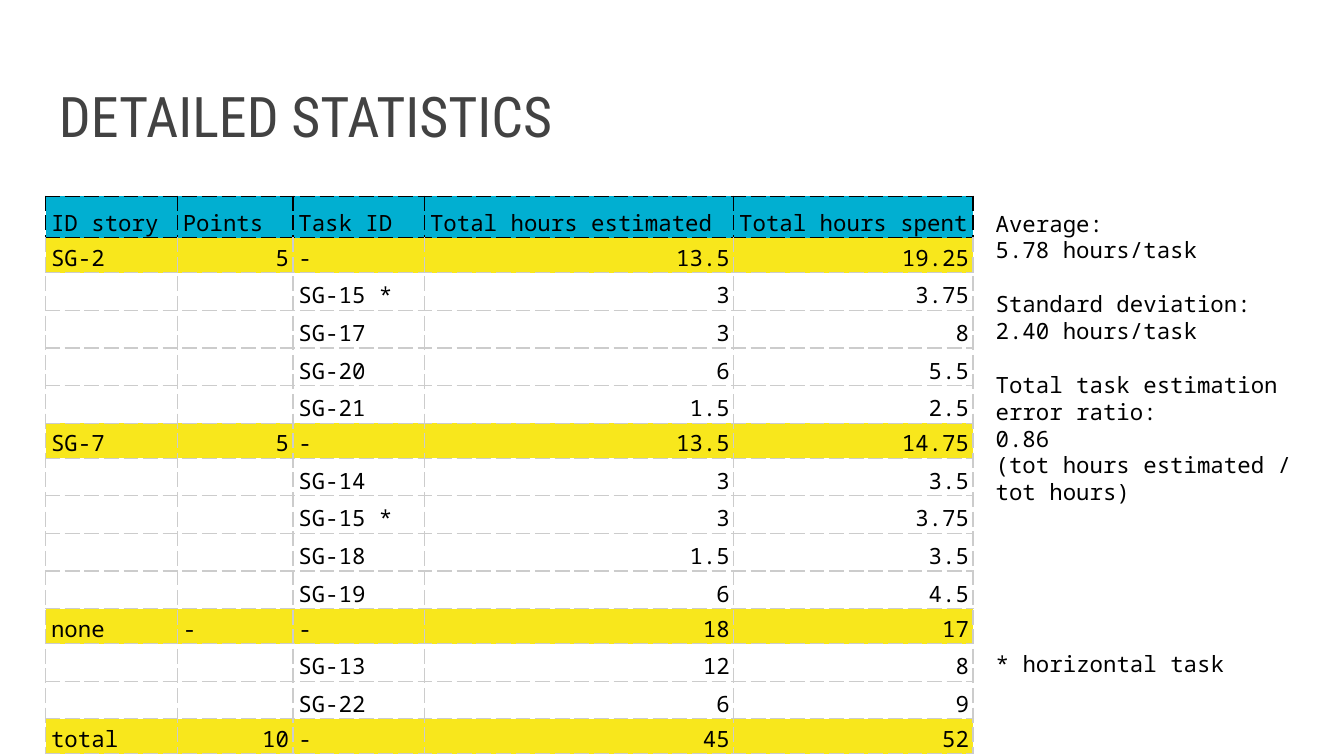
"""Build the detailed statistics slide: a table of task hours with notes beside it."""
from typing import NamedTuple

from lxml.etree import SubElement
from pptx import Presentation
from pptx.dml.color import RGBColor
from pptx.enum.text import MSO_ANCHOR as Anchor, PP_ALIGN as Align
from pptx.oxml.ns import qn
from pptx.util import Inches, Pt

BLACK = RGBColor(0x00, 0x00, 0x00)
GREY = RGBColor(0xCC, 0xCC, 0xCC)
CHARCOAL = RGBColor(0x42, 0x42, 0x42)
BLUE = RGBColor(0x01, 0xAF, 0xD1)
YELLOW = RGBColor(0xF8, 0xE7, 0x1C)
MONO = "Noto Sans Mono"
CONDENSED = "Roboto Condensed"
SLIDE_WIDTH = 10
SLIDE_HEIGHT = SLIDE_WIDTH * 9 / 16
LEFT, TOP, NOTE_LEFT = 0.34, 1.46, 7.31
COLUMNS = (0.98, 0.86, 0.98, 2.3, 1.78)
HEADER = ("ID story", "Points", "Task ID", "Total hours estimated", "Total hours spent")
HEADER_HEIGHT, STORY_HEIGHT, TASK_HEIGHT = 0.31, 0.26, 0.28
LINE = 14.4


class Task(NamedTuple):
    name: str
    estimated: str
    spent: str


class Story(NamedTuple):
    name: str
    points: str
    estimated: str
    spent: str
    tasks: tuple[Task, ...] = ()


class Note(NamedTuple):
    text: str
    before: float = 0


class Box(NamedTuple):
    left: float
    top: float
    width: float
    height: float


STORIES = (
    Story("SG-2", "5", "13.5", "19.25", (
        Task("SG-15 *", "3", "3.75"), Task("SG-17", "3", "8"),
        Task("SG-20", "6", "5.5"), Task("SG-21", "1.5", "2.5"))),
    Story("SG-7", "5", "13.5", "14.75", (
        Task("SG-14", "3", "3.5"), Task("SG-15 *", "3", "3.75"),
        Task("SG-18", "1.5", "3.5"), Task("SG-19", "6", "4.5"))),
    Story("none", "-", "18", "17", (
        Task("SG-13", "12", "8"), Task("SG-22", "6", "9"))),
    Story("total", "10", "45", "52"),
)
NOTES = (
    Note("Average:"),
    Note("5.78 hours/task"),
    Note("Standard deviation:", LINE),
    Note("2.40 hours/task"),
    Note("Total task estimation error ratio:", LINE),
    Note("0.86"),
    Note("(tot hours estimated / tot hours)"),
)


def add_text(slide, box: Box, notes: tuple[Note, ...], font: str = MONO, size: float = 12,
             color: RGBColor = BLACK, anchor=Anchor.TOP, spacing=None) -> None:
    """Add a text box with one paragraph per note."""
    tf = slide.shapes.add_textbox(*map(Inches, box)).text_frame
    tf.word_wrap = True
    tf.vertical_anchor = anchor
    tf.margin_left = tf.margin_right = tf.margin_top = tf.margin_bottom = Inches(0.1)
    tf.text = "\n".join(note.text for note in notes)
    for p, note in zip(tf.paragraphs, notes):
        p.space_before = Pt(note.before)
        p.line_spacing = spacing
        style_run(p.runs[0], font, size, color)


def style_run(r, font: str, size: float, color: RGBColor) -> None:
    """Set the typeface, size and colour of a run."""
    r.font.name = font
    r.font.size = Pt(size)
    r.font.color.rgb = color


def add_border(cell, side: str, color: RGBColor) -> None:
    """Draw one dashed edge of a cell."""
    ln = SubElement(cell._tc.get_or_add_tcPr(), qn(f"a:ln{side}"), w=str(Pt(0.75)))
    fill = SubElement(ln, qn("a:solidFill"))
    SubElement(fill, qn("a:srgbClr"), val=str(color))
    SubElement(ln, qn("a:prstDash"), val="dash")


def fill_cell(cell, text: str, fill: RGBColor | None, edge: RGBColor, top_edge: RGBColor) -> None:
    """Write and format one table cell."""
    for side in "LRTB":
        add_border(cell, side, top_edge if side == "T" else edge)
    if fill is None:
        cell.fill.background()
    else:
        cell.fill.solid()
        cell.fill.fore_color.rgb = fill
    cell.vertical_anchor = Anchor.BOTTOM
    cell.margin_left, cell.margin_right = Inches(0.04), Inches(0.03)
    cell.margin_top = cell.margin_bottom = 0
    p = cell.text_frame.paragraphs[0]
    if not text:
        SubElement(p._p, qn("a:endParaRPr"), sz="1200")
        return
    p.text = text
    p.line_spacing = 1.15
    p.alignment = Align.RIGHT if text[0].isdigit() else Align.LEFT
    style_run(p.runs[0], MONO, 12, BLACK)


def add_hours_table(slide) -> None:
    """Add the table of stories and their tasks."""
    rows = [(HEADER, BLUE, HEADER_HEIGHT)]
    for story in STORIES:
        summary = (story.name, story.points, "-", story.estimated, story.spent)
        rows.append((summary, YELLOW, STORY_HEIGHT))
        rows += [(("", "", *task), None, TASK_HEIGHT) for task in story.tasks]
    box = Box(LEFT, TOP, sum(COLUMNS), sum(height for _, _, height in rows))
    table = slide.shapes.add_table(len(rows), len(COLUMNS), *map(Inches, box)).table
    table.first_row = table.horz_banding = False
    for column, width in zip(table.columns, COLUMNS):
        column.width = Inches(width)
    for i, (texts, fill, height) in enumerate(rows):
        table.rows[i].height = Inches(height)
        edge = BLACK if i == 0 else GREY
        top_edge = BLACK if i <= 1 else GREY
        for cell, text in zip(table.rows[i].cells, texts):
            fill_cell(cell, text, fill, edge, top_edge)


def main() -> None:
    """Build and save the slide."""
    prs = Presentation()
    prs.slide_width, prs.slide_height = Inches(SLIDE_WIDTH), Inches(SLIDE_HEIGHT)
    s = prs.slides.add_slide(prs.slide_layouts[6])
    add_text(s, Box(LEFT, 0.41, 9.32, 0.8), (Note("DETAILED STATISTICS"),),
             CONDENSED, 30, CHARCOAL, Anchor.BOTTOM)
    add_hours_table(s)
    add_text(s, Box(NOTE_LEFT, 4.74, 4.82, 0.32), (Note("* horizontal task"),))
    add_text(s, Box(NOTE_LEFT, TOP, 2.56, 3.28), NOTES, spacing=Pt(LINE))
    prs.save("out.pptx")


main()
